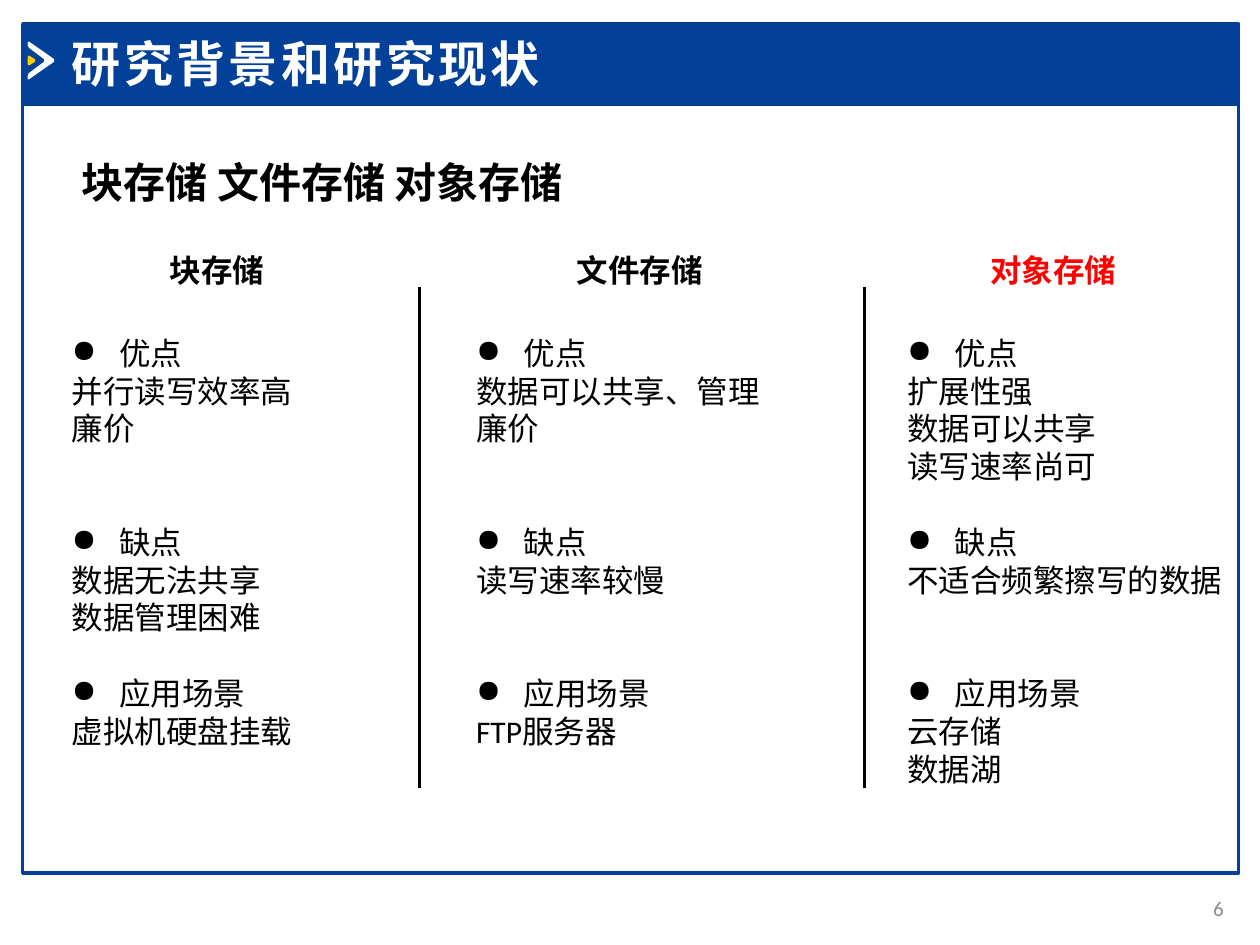
import dataclasses

import lxml.etree
import pptx
import pptx.dml.color
import pptx.enum.shapes
import pptx.enum.text
import pptx.oxml.ns
import pptx.util

Inches = pptx.util.Inches
Pt = pptx.util.Pt
qn = pptx.oxml.ns.qn

COLORS = {
    "blue": "02409A",
    "yellow": "FFCC00",
    "white": "FFFFFF",
    "black": "000000",
    "red": "FF0000",
    "gray": "8C8C8C",
}
FONT = "Calibri"
BODY_SIZE = 18
LINE_PITCH = 1.2 * BODY_SIZE
SECTIONS = ("优点", "缺点", "应用场景")
SECTION_ROWS = (5, 4, 3)  # lines from one section heading to the next


@dataclasses.dataclass(frozen=True)
class StorageType:
    name: str
    name_left: float
    left: float
    width: float
    points: tuple[tuple[str, ...], ...]  # one tuple per section
    color: str = "black"


STORAGE_TYPES = (
    StorageType("块存储", 1.25, 0.47, 2.63, (
        ("并行读写效率高", "廉价"),
        ("数据无法共享", "数据管理困难"),
        ("虚拟机硬盘挂载",),
    )),
    StorageType("文件存储", 4.48, 3.68, 2.96, (
        ("数据可以共享、管理", "廉价"),
        ("读写速率较慢",),
        ("FTP服务器",),
    )),
    StorageType("对象存储", 7.76, 7.1, 2.71, (
        ("扩展性强", "数据可以共享", "读写速率尚可"),
        ("不适合频繁擦写的数据",),
        ("云存储", "数据湖"),
    ), "red"),
)
DIVIDERS = (3.33, 6.86)

# Outlines in hundredths of an inch
CHEVRON = ((23, 33), (22, 34), (22, 36), (23, 38), (35, 47), (35, 49), (23, 58),
           (22, 60), (22, 63), (23, 63), (43, 49), (43, 47))
CHEVRON_TIP = ((23, 44), (22, 45), (22, 51), (23, 52), (28, 49), (28, 47))


def rgb(color: str) -> pptx.dml.color.RGBColor:
    return pptx.dml.color.RGBColor.from_string(COLORS[color])


def style_font(font, size: float, color: str, bold: bool = False) -> None:
    font.name = FONT
    font.size = Pt(size)
    font.bold = bold
    font.color.rgb = rgb(color)


def add_banner_box(slide, top: float, height: float, fill: str | None = None) -> None:
    box = slide.shapes.add_shape(
        pptx.enum.shapes.MSO_SHAPE.RECTANGLE,
        Inches(0.18), Inches(top), Inches(9.65), Inches(height))
    box.shadow.inherit = False
    if fill:
        box.fill.solid()
        box.fill.fore_color.rgb = rgb(fill)
    else:
        box.fill.background()
    box.line.color.rgb = rgb("blue")
    box.line.width = Pt(2)


def add_outline(slide, points: tuple[tuple[int, int], ...], color: str) -> None:
    builder = slide.shapes.build_freeform(*points[0], scale=Inches(0.01))
    builder.add_line_segments(points[1:], close=True)
    outline = builder.convert_to_shape()
    outline.shadow.inherit = False
    outline.fill.solid()
    outline.fill.fore_color.rgb = rgb(color)
    outline.line.fill.background()


def add_frame(slide, left: float, top: float, width: float, height: float):
    frame = slide.shapes.add_textbox(
        Inches(left), Inches(top), Inches(width), Inches(height)).text_frame
    frame.word_wrap = True
    return frame


def add_label(slide, text: str, left: float, top: float, width: float, height: float,
              size: float, color: str, bold: bool = True):
    frame = add_frame(slide, left, top, width, height)
    frame.text = text
    style_font(frame.paragraphs[0].runs[0].font, size, color, bold)
    return frame


def add_bullet(paragraph) -> None:
    properties = paragraph._p.get_or_add_pPr()
    properties.set("marL", str(Inches(0.38)))
    properties.set("indent", str(-Inches(0.38)))
    lxml.etree.SubElement(properties, qn("a:buChar")).set("char", "●")


def add_storage_column(slide, storage: StorageType) -> None:
    add_label(slide, storage.name, storage.name_left, 1.94, 1.3, 0.4,
              BODY_SIZE, storage.color)
    frame = add_frame(slide, storage.left, 2.6, storage.width, 3.99)
    blank_lines = 0
    for section, rows, points in zip(SECTIONS, SECTION_ROWS, storage.points):
        for index, text in enumerate((section, *points)):
            first = index == 0 and section == SECTIONS[0]
            paragraph = frame.paragraphs[0] if first else frame.add_paragraph()
            paragraph.text = text
            if index == 0:
                add_bullet(paragraph)
                if not first:
                    paragraph.space_before = Pt(blank_lines * LINE_PITCH)
            style_font(paragraph.runs[0].font, BODY_SIZE, "black")
        blank_lines = rows - 1 - len(points)


def add_divider(slide, x: float) -> None:
    divider = slide.shapes.add_connector(
        pptx.enum.shapes.MSO_CONNECTOR.STRAIGHT,
        Inches(x), Inches(2.28), Inches(x), Inches(6.25))
    divider.line.color.rgb = rgb("black")
    divider.line.width = Pt(2)
    lxml.etree.SubElement(divider._element.spPr, qn("a:effectLst"))


def main() -> None:
    presentation = pptx.Presentation()
    presentation.slide_width = Inches(10)
    presentation.slide_height = Inches(7.5)
    slide = presentation.slides.add_slide(presentation.slide_layouts[6])

    # Frame and title bar
    add_banner_box(slide, 0.83, 6.1)
    add_banner_box(slide, 0.19, 0.64, "blue")
    add_outline(slide, CHEVRON, "white")
    add_outline(slide, CHEVRON_TIP, "yellow")

    # Page number
    page_number = add_label(slide, "6", 9.22, 7.01, 0.59, 0.4, 12, "gray", bold=False)
    page_number.vertical_anchor = pptx.enum.text.MSO_ANCHOR.MIDDLE
    page_number.paragraphs[0].alignment = pptx.enum.text.PP_ALIGN.RIGHT

    # Title and subtitle
    title = add_label(slide, "研究背景和研究现状", 0.47, 0.22, 4.39, 0.56, 28, "white")
    title.paragraphs[0].runs[0].font._element.set("spc", "200")
    subtitle = add_label(slide, "块存储 文件存储 对象存储", 0.55, 1.09, 7.87, 0.6,
                         24, "black")
    subtitle.paragraphs[0].line_spacing = 1.25

    # Comparison columns
    for x in DIVIDERS:
        add_divider(slide, x)
    for storage in STORAGE_TYPES:
        add_storage_column(slide, storage)

    presentation.save("out.pptx")


if __name__ == "__main__":
    main()
